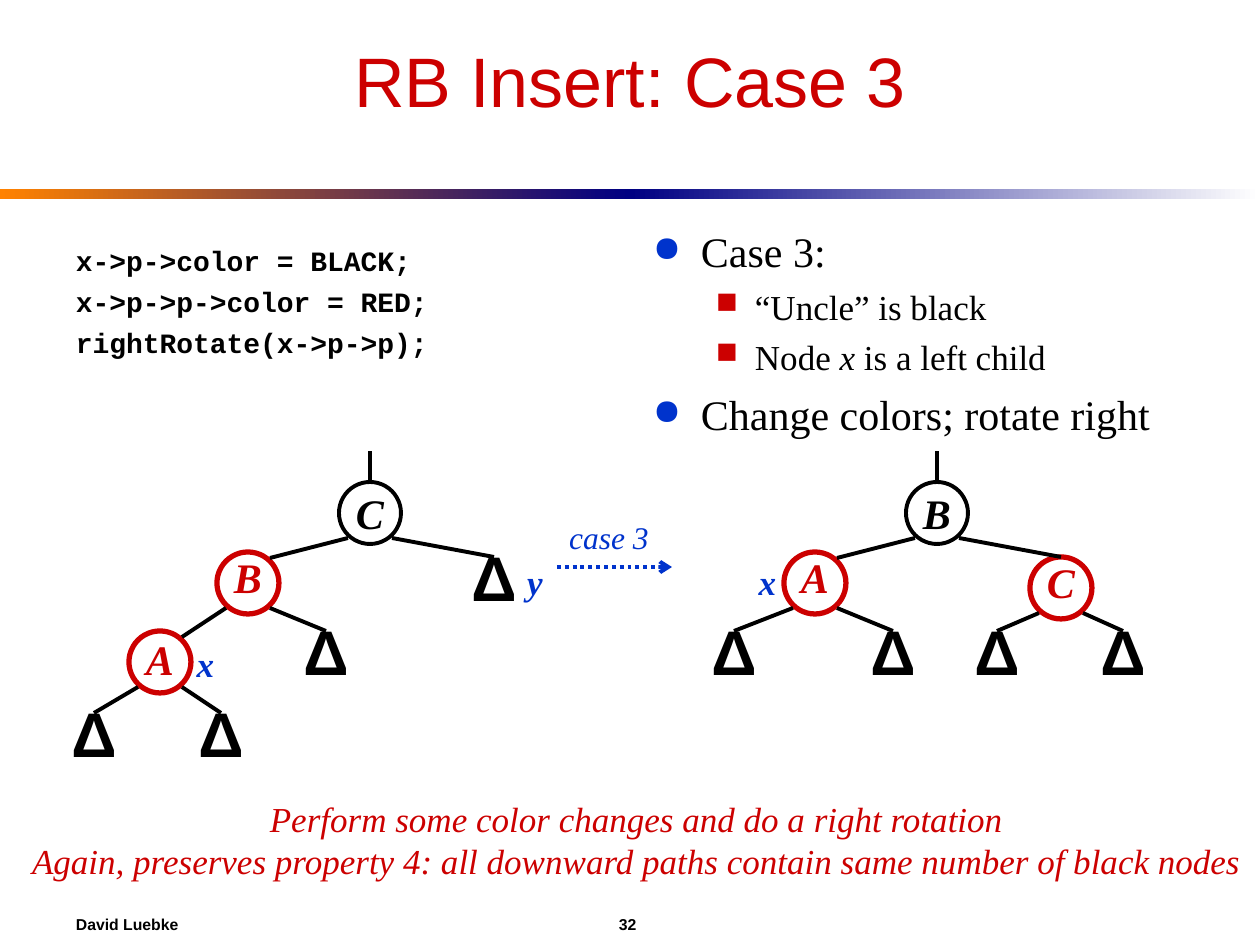
from dataclasses import dataclass
from lxml import etree
from pptx import Presentation
from pptx.dml.color import RGBColor
from pptx.enum.dml import MSO_LINE
from pptx.enum.shapes import MSO_CONNECTOR, MSO_SHAPE
from pptx.enum.text import MSO_ANCHOR, MSO_AUTO_SIZE, PP_ALIGN
from pptx.oxml.ns import qn
from pptx.util import Pt

LEFT, CENTER = PP_ALIGN.LEFT, PP_ALIGN.CENTER
TOP, MIDDLE = MSO_ANCHOR.TOP, MSO_ANCHOR.MIDDLE
STRAIGHT, OVAL, RECTANGLE = MSO_CONNECTOR.STRAIGHT, MSO_SHAPE.OVAL, MSO_SHAPE.RECTANGLE
DOTTED, FIXED = MSO_LINE.ROUND_DOT, MSO_AUTO_SIZE.NONE


@dataclass(frozen=True)
class Theme:
    black: str = "000000"
    white: str = "FFFFFF"
    red: str = "CC0000"
    blue: str = "0033CC"
    orange: str = "FF8200"
    navy: str = "000082"
    sans: str = "Arial"
    serif: str = "Times New Roman"
    mono: str = "Courier New"
    title: int = 40
    leaf: int = 36
    large: int = 24
    medium: int = 20
    small: int = 18
    code: int = 16
    footer: int = 9
    edge: float = 2.25
    red_edge: float = 3


THEME = Theme()

# Content, with all lengths in px
TITLE = "RB Insert: Case 3"
CODE = ["x->p->color = BLACK;", "x->p->p->color = RED;", "rightRotate(x->p->p);"]
# Each point: level, then (text, italic) parts
POINTS = [
    (0, [("Case 3:", False)]),
    (1, [("“Uncle” is black", False)]),
    (1, [("Node ", False), ("x", True), (" is a left child", False)]),
    (0, [("Change colors; rotate right", False)]),
]
SUMMARY = [
    "Perform some color changes and do a right rotation",
    "Again, preserves property 4: all downward paths contain same number of black nodes",
]
FOOTER = "David Luebke\t32"
# Each node: letter, centre x, centre y, colour, line spacing, children; "Δ" marks a leaf
BEFORE = ("C", 370, 513, THEME.black, 1, [
    ("B", 248, 583, THEME.red, 0.7, [
        ("A", 160, 662, THEME.red, 0.9, [
            ("Δ", 94, 744, THEME.black, 0.6, []),
            ("Δ", 221, 744, THEME.black, 0.6, [])]),
        ("Δ", 326, 662, THEME.black, 0.6, [])]),
    ("Δ", 494, 588, THEME.black, 0.6, [])])
AFTER = ("B", 937, 513, THEME.black, 1, [
    ("A", 815, 583, THEME.red, 0.7, [
        ("Δ", 734, 662, THEME.black, 0.6, []),
        ("Δ", 893, 662, THEME.black, 0.6, [])]),
    ("C", 1061, 588, THEME.red, 0.7, [
        ("Δ", 997, 662, THEME.black, 0.6, []),
        ("Δ", 1123, 662, THEME.black, 0.6, [])])])
# Each label: text, box, size, bold
LABELS = [
    ("x", (184, 636, 43, 55), THEME.medium, True),
    ("y", (515, 554, 40, 55), THEME.medium, True),
    ("x", (746, 554, 43, 55), THEME.medium, True),
    ("case 3", (557, 512, 104, 50), THEME.small, False),
]
BULLETS = [
    # character, colour, size, indent, hanging, space before
    ("●", THEME.blue, THEME.large, 48, 48, 6),
    ("■", THEME.red, THEME.medium, 102, 39, 5),
]
NODE_RADIUS, JOIN_X, JOIN_Y, STEM = 31, 22, 25, 31


def px(length):
    return round(length * 914400 / 126)


def rgb(value):
    return RGBColor.from_string(value)


def add_child(parent, tag, **attributes):
    return etree.SubElement(parent, qn(tag), attributes)


def style(paragraph, font, size, color, bold=False, italic=None, align=LEFT):
    paragraph.alignment = align
    paragraph.font.name, paragraph.font.size = font, Pt(size)
    paragraph.font.color.rgb = rgb(color)
    paragraph.font.bold = bold
    if italic is not None:
        paragraph.font.italic = italic


def set_frame(frame, anchor=TOP, wrap=True, top=6):
    frame.auto_size, frame.word_wrap, frame.vertical_anchor = FIXED, wrap, anchor
    frame.margin_left = frame.margin_right = px(13)
    frame.margin_top, frame.margin_bottom = px(top), px(6)


def add_text(page, box, lines, look, space=0, **frame_options):
    frame = page.shapes.add_textbox(*map(px, box)).text_frame
    set_frame(frame, **frame_options)
    frame.text = "\n".join(lines)
    for index, paragraph in enumerate(frame.paragraphs):
        if index and space:
            paragraph.space_before = Pt(space)
        style(paragraph, **look)
    return frame


def add_line(page, start, end, color=THEME.black):
    line = page.shapes.add_connector(STRAIGHT, *map(px, (*start, *end)))
    line.line.color.rgb, line.line.width = rgb(color), Pt(THEME.edge)
    add_child(line._element.spPr, "a:effectLst")
    return line


def add_points(page, box):
    frame = page.shapes.add_textbox(*map(px, box)).text_frame
    set_frame(frame, top=16)
    for index, (level, parts) in enumerate(POINTS):
        paragraph = frame.add_paragraph() if index else frame.paragraphs[0]
        character, color, size, indent, hanging, space = BULLETS[level]
        paragraph.level = level
        properties = paragraph._p.get_or_add_pPr()
        properties.set("marL", str(px(indent)))
        properties.set("indent", str(-px(hanging)))
        add_child(add_child(properties, "a:buClr"), "a:srgbClr", val=color)
        add_child(properties, "a:buSzPct", val="85000")
        add_child(properties, "a:buChar", char=character)
        if index:
            paragraph.space_before = Pt(space)
        style(paragraph, THEME.serif, size, THEME.black)
        for text, italic in parts:
            span = paragraph.add_run()
            span.text = text
            if italic:
                span.font.italic = True


def add_node(page, letter, x, y, color, spacing):
    corner = (x - NODE_RADIUS, y - NODE_RADIUS)
    node = page.shapes.add_shape(OVAL, *map(px, (*corner, 2 * NODE_RADIUS, 2 * NODE_RADIUS)))
    node.shadow.inherit = False
    node.fill.solid()
    node.fill.fore_color.rgb = rgb(THEME.white)
    leaf = letter == "Δ"
    if leaf:
        node.line.fill.background()
    else:
        node.line.color.rgb = rgb(color)
        node.line.width = Pt(THEME.red_edge if color == THEME.red else THEME.edge)
    set_frame(node.text_frame, MIDDLE, wrap=False)
    node.text_frame.text = letter
    paragraph = node.text_frame.paragraphs[0]
    paragraph.line_spacing = spacing
    font, size = (THEME.sans, THEME.leaf) if leaf else (THEME.serif, THEME.large)
    style(paragraph, font, size, color, True, not leaf, CENTER)


def add_tree(page, tree):
    *node, children = tree
    add_node(page, *node)
    x, y = node[1:3]
    for child in children:
        add_tree(page, child)
        letter, child_x, child_y = child[:3]
        side = -1 if child_x < x else 1
        # Inner left children join at the upper right, all others at the top
        if letter != "Δ" and side < 0:
            end = (child_x + JOIN_X, child_y - JOIN_Y)
        else:
            end = (child_x, child_y - NODE_RADIUS)
        add_line(page, (x + side * JOIN_X, y + JOIN_Y), end)


def main():
    deck = Presentation()
    deck.slide_width, deck.slide_height = px(1260), px(945)
    page = deck.slides.add_slide(deck.slide_layouts[5])

    # Title and the two-part rule below it
    title = page.shapes.title
    title.left, title.top, title.width, title.height = map(px, (63, 31, 1134, 136))
    set_frame(title.text_frame)
    title.text_frame.text = TITLE
    style(title.text_frame.paragraphs[0], THEME.sans, THEME.title, THEME.red, align=CENTER)
    shades = [THEME.orange, THEME.navy, THEME.white]
    for index in range(2):
        band = page.shapes.add_shape(RECTANGLE, *map(px, (630 * index, 189, 630, 10)))
        band.shadow.inherit = False
        band.line.fill.background()
        band.fill.gradient()
        band.fill.gradient_angle = 0
        for stop, shade in zip(band.fill.gradient_stops, shades[index:]):
            stop.color.rgb = rgb(shade)

    # Code and bullet points
    code_look = dict(font=THEME.mono, size=THEME.code, color=THEME.black, bold=True)
    add_text(page, (63, 231, 557, 231), CODE, code_look, space=4, top=13)
    add_points(page, (640, 210, 557, 242))

    # Trees, their stems and labels
    for tree in (BEFORE, AFTER):
        add_tree(page, tree)
        x, top = tree[1], tree[2] - NODE_RADIUS
        add_line(page, (x, top), (x, top - STEM))
    for text, box, size, bold in LABELS:
        look = dict(font=THEME.serif, size=size, color=THEME.blue, bold=bold,
                    italic=True, align=CENTER)
        add_text(page, box, [text], look, anchor=MIDDLE, wrap=False)
    arrow = add_line(page, (557, 567), (672, 567), THEME.blue)
    arrow.line.dash_style = DOTTED
    add_child(arrow.line._get_or_add_ln(), "a:tailEnd", type="arrow")

    # Summary and footer
    summary_look = dict(font=THEME.serif, size=THEME.medium, color=THEME.red,
                        italic=True, align=CENTER)
    add_text(page, (18, 791, 1237, 97), SUMMARY, summary_look, anchor=MIDDLE, wrap=False)
    footer_look = dict(font=THEME.sans, size=THEME.footer, color=THEME.black, bold=True)
    footer = add_text(page, (63, 903, 1134, 42), [], footer_look, anchor=MIDDLE)
    paragraph = footer.paragraphs[0]
    properties = paragraph._p.get_or_add_pPr()
    tabs = etree.Element(qn("a:tabLst"))
    add_child(tabs, "a:tab", pos=str(px(543)), algn="l")
    properties.insert(0, tabs)
    paragraph.add_run().text = FOOTER

    deck.save("out.pptx")


if __name__ == "__main__":
    main()
